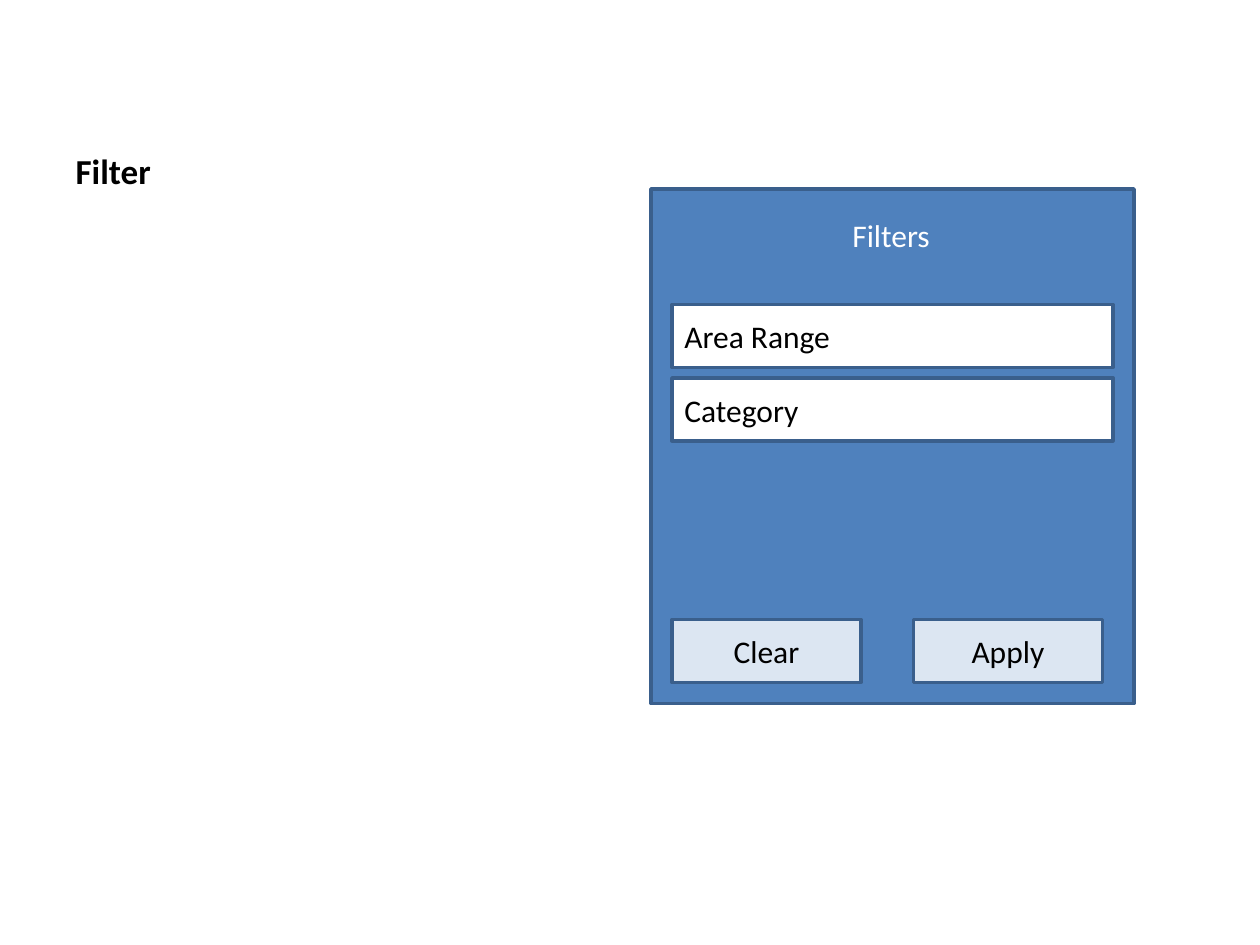
"""Build a slide with a wireframe of a filter dialog."""
from dataclasses import dataclass

from pptx import Presentation
from pptx.dml.color import RGBColor as Rgb
from pptx.enum.shapes import MSO_SHAPE as Shape
from pptx.enum.text import MSO_ANCHOR as Anchor, PP_ALIGN as Align
from pptx.util import Pt

HEADING = "Filter"
DIALOG_TITLE = "Filters"
FIELDS = ["Area Range", "Category"]
BUTTONS = ["Clear", "Apply"]


@dataclass(frozen=True)
class Theme:
    font: str = "Calibri"
    heading_size: int = 20
    label_size: int = 18
    line_width: int = 2
    ink: Rgb = Rgb(0x00, 0x00, 0x00)
    paper: Rgb = Rgb(0xFF, 0xFF, 0xFF)
    panel: Rgb = Rgb(0x4F, 0x81, 0xBD)
    button: Rgb = Rgb(0xDC, 0xE6, 0xF2)
    outline: Rgb = Rgb(0x3A, 0x5F, 0x8C)


THEME = Theme()
CONTROL_LEFT, CONTROL_HEIGHT = 384, 36
FIELD_TOP, FIELD_WIDTH, FIELD_PITCH = 174, 252, 42
BUTTON_TOP, BUTTON_WIDTH, BUTTON_PITCH = 354, 108, 138


def write(holder, text, size=THEME.label_size, color=THEME.ink, bold=False,
          align=Align.LEFT, anchor=Anchor.MIDDLE):
    frame = holder.text_frame
    frame.word_wrap = True
    frame.vertical_anchor = anchor
    frame.text = text
    paragraph = frame.paragraphs[0]
    paragraph.alignment = align
    font = paragraph.runs[0].font
    font.name, font.size, font.bold = THEME.font, Pt(size), bold
    font.color.rgb = color


def add_box(slide, left, top, width, height, fill):
    box = slide.shapes.add_shape(
        Shape.RECTANGLE, Pt(left), Pt(top), Pt(width), Pt(height))
    box.shadow.inherit = False
    box.fill.solid()
    box.fill.fore_color.rgb = fill
    box.line.color.rgb = THEME.outline
    box.line.width = Pt(THEME.line_width)
    return box


def main():
    deck = Presentation()
    deck.slide_width, deck.slide_height = Pt(720), Pt(540)
    slide = deck.slides.add_slide(deck.slide_layouts[5])

    heading = slide.shapes.title
    heading.left, heading.top = Pt(36), Pt(21.5)
    heading.width, heading.height = Pt(236.88), Pt(91.5)
    write(heading, HEADING, size=THEME.heading_size, bold=True,
          anchor=Anchor.BOTTOM)

    add_box(slide, 372, 108, 276, 294, THEME.panel)

    for row, label in enumerate(FIELDS):
        field = add_box(slide, CONTROL_LEFT, FIELD_TOP + row * FIELD_PITCH,
                        FIELD_WIDTH, CONTROL_HEIGHT, THEME.paper)
        write(field, label)

    dialog_title = slide.shapes.add_textbox(Pt(480), Pt(120), Pt(222), Pt(30))
    write(dialog_title, DIALOG_TITLE, color=THEME.paper, anchor=Anchor.TOP)

    for column, label in enumerate(BUTTONS):
        button = add_box(slide, CONTROL_LEFT + column * BUTTON_PITCH,
                         BUTTON_TOP, BUTTON_WIDTH, CONTROL_HEIGHT,
                         THEME.button)
        write(button, label, align=Align.CENTER)

    deck.save("out.pptx")


if __name__ == "__main__":
    main()
